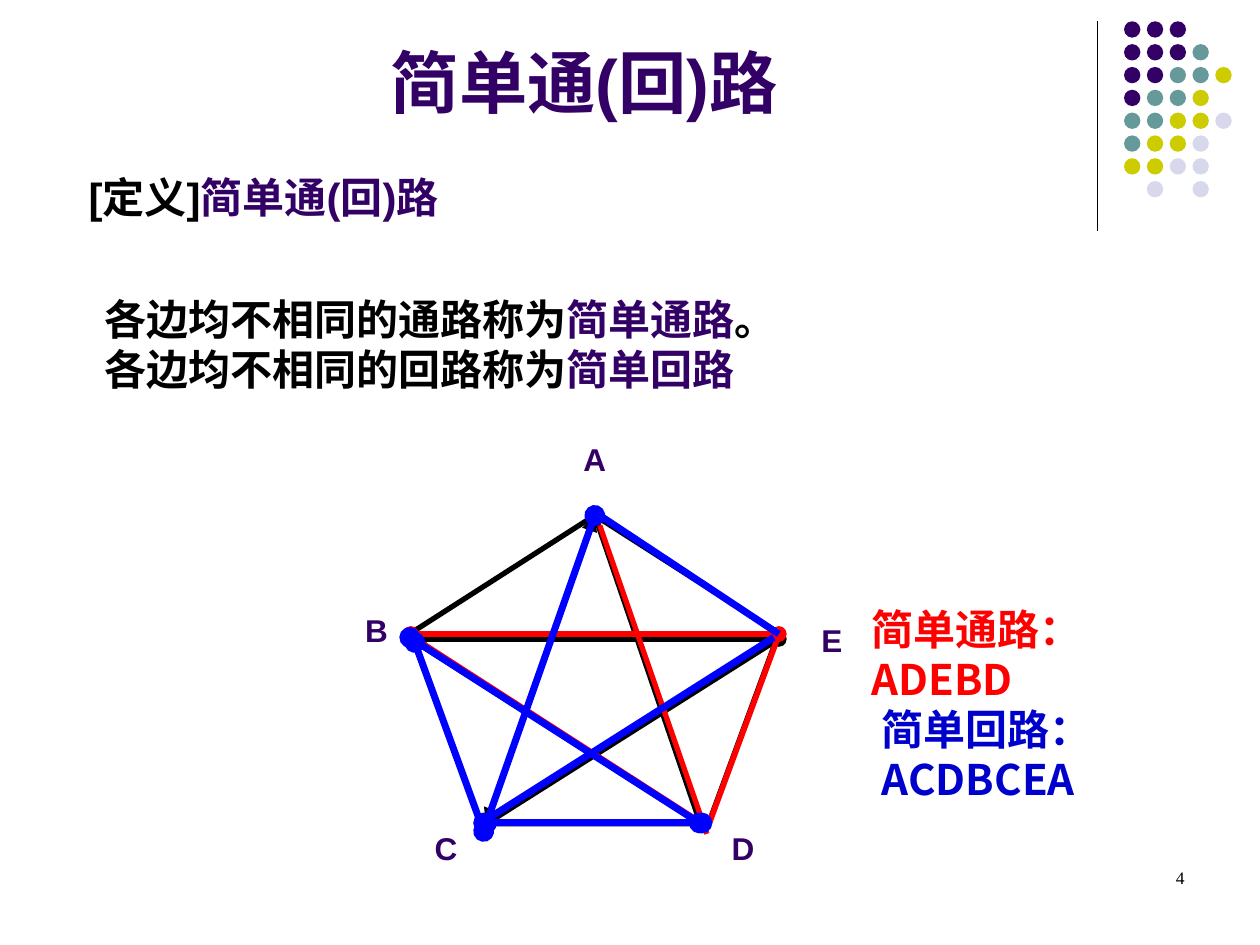
from dataclasses import dataclass
from typing import Optional

from lxml.etree import SubElement as Sub
from pptx import Presentation as Deck
from pptx.dml.color import RGBColor as Rgb
from pptx.enum.shapes import MSO_CONNECTOR as Link, MSO_SHAPE as Form
from pptx.enum.text import MSO_ANCHOR as Anchor, PP_ALIGN as Align
from pptx.oxml.ns import qn
from pptx.util import Cm, Pt


@dataclass(frozen=True)
class Theme:
    ink: str = "000000"
    plum: str = "330066"
    teal: str = "669999"
    lime: str = "CCCC00"
    mist: str = "D8D8EC"
    red: str = "FF0000"
    blue: str = "0000FF"
    navy: str = "0000CC"
    sans: str = "Arial"
    han: str = "Noto Sans CJK SC"
    serif: str = "Times New Roman"
    title: int = 39
    body: int = 24
    label: int = 18
    small: int = 10


@dataclass(frozen=True)
class Edge:
    start: tuple
    end: tuple
    color: str
    width: float = 3
    head: Optional[str] = None
    tail: Optional[str] = None


@dataclass(frozen=True)
class Line:
    words: tuple
    size: int
    face: str
    bold: bool = True
    align: Align = Align.LEFT
    indent: float = 0
    before: float = 0


@dataclass(frozen=True)
class Box:
    area: tuple
    lines: tuple
    wrap: bool = True
    anchor: Anchor = Anchor.TOP


T = Theme()


def draw_edge(shapes, edge: Edge) -> None:
    ends = [Cm(v) for v in edge.start + edge.end]
    link = shapes.add_connector(Link.STRAIGHT, *ends)
    link.line.color.rgb = Rgb.from_string(edge.color)
    link.line.width = Pt(edge.width)
    props = link._element.spPr
    for tag, kind in (("a:headEnd", edge.head), ("a:tailEnd", edge.tail)):
        if kind:
            Sub(props.find(qn("a:ln")), qn(tag), type=kind)
    Sub(props, qn("a:effectLst"))


def draw_dots(shapes, rows: tuple) -> None:
    left, top, step, size = 22.66, 0.43, 0.46, 0.33
    tints = {"P": T.plum, "T": T.teal, "L": T.lime, "M": T.mist}
    for row, marks in enumerate(rows):
        for col, mark in enumerate(marks):
            if mark not in tints:
                continue
            dot = shapes.add_shape(Form.OVAL, Cm(left + col * step),
                                   Cm(top + row * step), Cm(size), Cm(size))
            dot.fill.solid()
            dot.fill.fore_color.rgb = Rgb.from_string(tints[mark])
            dot.line.fill.background()
            dot.shadow.inherit = False


def draw_ring(shapes, area: tuple) -> None:
    ring = shapes.add_shape(Form.REGULAR_PENTAGON, *map(Cm, area))
    ring.fill.background()
    ring.line.color.rgb = Rgb.from_string(T.ink)
    ring.line.width = Pt(3)
    ring.shadow.inherit = False


def write_line(para, line: Line) -> None:
    para.alignment = line.align
    if line.indent:
        para._p.get_or_add_pPr().set("marL", str(Cm(line.indent)))
    if line.before:
        para.space_before = Pt(line.before)
    font = para.font
    font.size, font.bold, font.name = Pt(line.size), line.bold, line.face
    Sub(font._element, qn("a:ea"), typeface=T.han)
    for text, color in line.words:
        run = para.add_run()
        run.text = text
        run.font.color.rgb = Rgb.from_string(color)


def draw_box(shapes, box: Box) -> None:
    frame = shapes.add_textbox(*map(Cm, box.area)).text_frame
    frame.word_wrap = box.wrap
    frame.vertical_anchor = box.anchor
    for num, line in enumerate(box.lines):
        para = frame.add_paragraph() if num else frame.paragraphs[0]
        write_line(para, line)


def name_box(text: str, left: float, top: float) -> Box:
    line = Line(((text, T.plum),), T.label, T.sans)
    return Box((left, top, 0.97, 1.02), (line,), wrap=False)


def note_box(text: str, color: str, left: float, top: float) -> Box:
    line = Line(((text, color),), T.body, T.han)
    return Box((left, top, 5.1, 2.3), (line,))


DOTS = ("PPP", "PPPT", "PPTTL", "PTTL", "TTLLM", "TLLM", "LLMM", " M M")
A, B, C, D, E = ((11.99, 10.39), (8.28, 12.88), (9.8, 16.61),
                 (14.12, 16.61), (15.7, 12.88))
OVAL, TIP = "oval", "triangle"
EDGES = (
    Edge(A, C, T.ink, 3, TIP, TIP),
    Edge(A, D, T.ink),
    Edge(B, E, T.ink, 3, TIP, OVAL),
    Edge(B, D, T.ink, 3, OVAL, OVAL),
    Edge(E, C, T.ink),
    Edge((12.09, 10.59), (14.25, 16.81), T.red),
    Edge((15.7, 12.8), (14.3, 16.59), T.red, 3.25),
    Edge((8.28, 12.78), (15.7, 12.78), T.red, 3, OVAL, OVAL),
    Edge((8.26, 12.8), (14.1, 16.56), T.red, 3, OVAL, OVAL),
    Edge((8.36, 12.95), (9.75, 16.76), T.blue, 4, OVAL, OVAL),
    Edge((9.75, 16.59), (14.15, 16.59), T.blue, 4, OVAL, OVAL),
    Edge((8.26, 12.85), (14.1, 16.59), T.blue, 4, OVAL, OVAL),
    Edge((15.6, 12.85), (9.7, 16.59), T.blue, 4),
    Edge((12.09, 10.39), (15.7, 12.78), T.blue, 4),
    Edge(A, C, T.blue, 4, OVAL, OVAL),
)
HEAD = "简单通(回)路"
BODY = (
    Line((("[定义]", T.ink), (HEAD, T.plum)), T.body, T.sans, indent=0.47),
    Line((("各边均不相同的通路称为", T.ink), ("简单通路", T.plum),
          ("。", T.ink)), T.body, T.sans, indent=0.79, before=41),
    Line((("各边均不相同的回路称为", T.ink), ("简单回路", T.plum)),
         T.body, T.sans, indent=0.79),
)
BOXES = (
    name_box("A", 11.51, 8.74),
    name_box("B", 7.11, 12.19),
    name_box("C", 8.51, 16.59),
    name_box("D", 14.5, 16.59),
    name_box("E", 16.31, 12.4),
    note_box("简单通路：ADEBD", T.red, 17.32, 12.04),
    note_box("简单回路：ACDBCEA", T.navy, 17.53, 14.05),
    Box((1.07, 3.33, 24.33, 6.71), BODY),
    Box((1.3, -0.28, 20.96, 2.87),
        (Line(((HEAD, T.plum),), T.title, T.sans, align=Align.CENTER),),
        anchor=Anchor.BOTTOM),
    Box((18.21, 17.35, 5.92, 1.27),
        (Line((("4", T.ink),), T.small, T.serif, False, Align.RIGHT),)),
)


def main() -> None:
    deck = Deck()
    deck.slide_width, deck.slide_height = Cm(25.4), Cm(19.05)
    shapes = deck.slides.add_slide(deck.slide_layouts[6]).shapes
    draw_edge(shapes, Edge((22.12, 0.43), (22.12, 4.65), T.ink, 0.75))
    draw_dots(shapes, DOTS)
    draw_ring(shapes, (8.28, 10.39, 7.42, 6.22))
    for edge in EDGES:
        draw_edge(shapes, edge)
    for box in BOXES:
        draw_box(shapes, box)
    deck.save("out.pptx")


if __name__ == "__main__":
    main()
